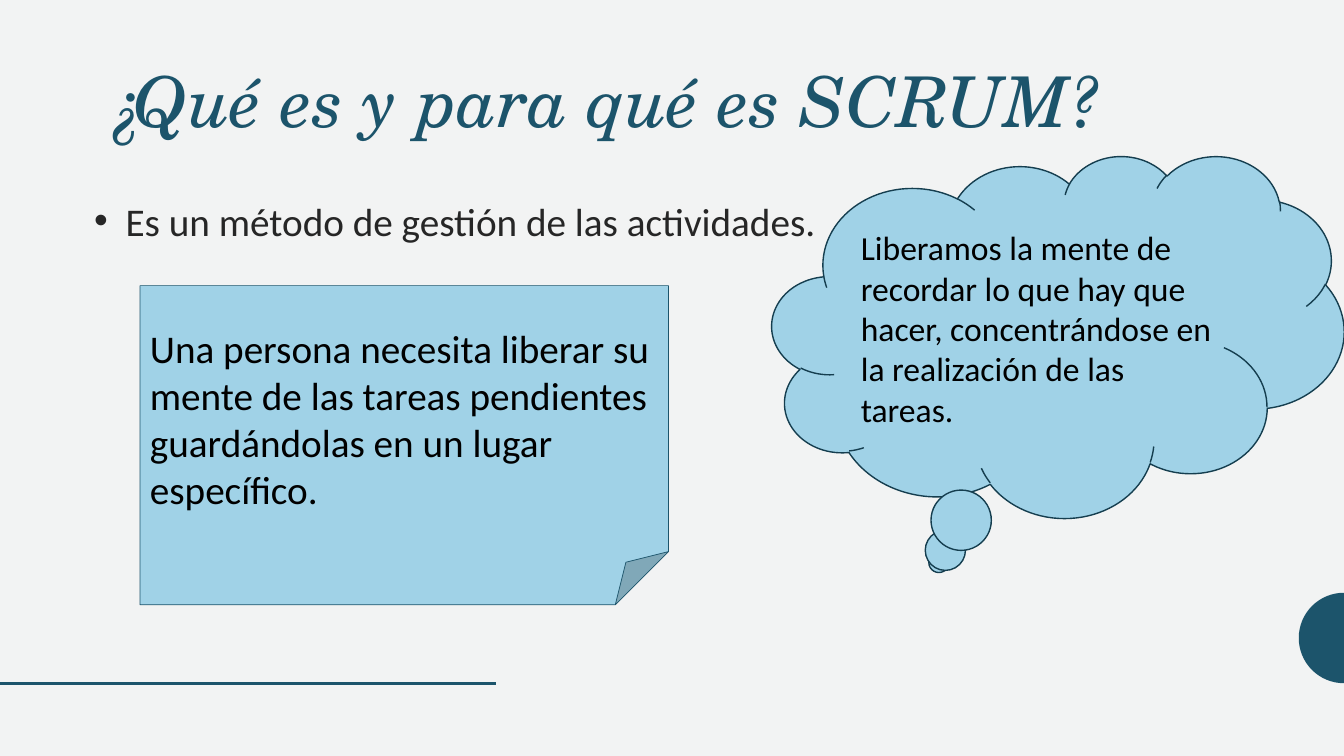
"""Builds the slide explaining what SCRUM is and what it is for."""
from math import cos, pi, sin

from lxml import etree
from pptx import Presentation
from pptx.dml.color import RGBColor
from pptx.enum.shapes import MSO_CONNECTOR, MSO_SHAPE
from pptx.enum.text import MSO_ANCHOR, PP_ALIGN
from pptx.oxml.ns import qn
from pptx.util import Pt

LEFT, RIGHT = PP_ALIGN.LEFT, PP_ALIGN.RIGHT
TOP, MIDDLE = MSO_ANCHOR.TOP, MSO_ANCHOR.MIDDLE
FOLDED_NOTE, CLOUD = MSO_SHAPE.FOLDED_CORNER, MSO_SHAPE.CLOUD_CALLOUT
STRAIGHT = MSO_CONNECTOR.STRAIGHT

PAPER = RGBColor(0xF2, 0xF3, 0xF3)
TEAL = RGBColor(0x1C, 0x54, 0x6B)
DARK_TEAL = RGBColor(0x15, 0x3E, 0x4F)
SKY = RGBColor(0xA0, 0xD2, 0xE7)
GRAPHITE = RGBColor(0x26, 0x26, 0x26)
BLACK = RGBColor(0, 0, 0)


def place(shape, left, top, width, height):
    """Move and size a shape, in points."""
    bounds = {"left": left, "top": top, "width": width, "height": height}
    for name, value in bounds.items():
        setattr(shape, name, Pt(value))


def write(shape, text, anchor, align, spacing, font):
    """Put one formatted paragraph in a shape and return it."""
    frame = shape.text_frame
    frame.word_wrap = True
    frame.vertical_anchor = anchor
    para = frame.paragraphs[0]
    layout = {"alignment": align, "line_spacing": spacing, "space_before": Pt(0)}
    for name, value in layout.items():
        setattr(para, name, value)
    span = para.add_run()
    span.text = text
    for name, value in font.items():
        if name == "color":
            span.font.color.rgb = value
        else:
            setattr(span.font, name, value)
    return para


deck = Presentation()
deck.slide_width, deck.slide_height = Pt(960), Pt(540)
page = deck.slides.add_slide(deck.slide_layouts[1])
page.background.fill.solid()
page.background.fill.fore_color.rgb = PAPER

radius, center_y, steps = 32.3, 455.7, 32
angles = [pi / 2 + pi * step / steps for step in range(steps + 1)]
arc = [(Pt(960 + radius * cos(angle)), Pt(center_y + radius * sin(angle))) for angle in angles]
builder = page.shapes.build_freeform(*arc[0])
builder.add_line_segments(arc[1:], close=True)
half_disc = builder.convert_to_shape()
half_disc.shadow.inherit = False
half_disc.fill.solid()
half_disc.fill.fore_color.rgb = TEAL
half_disc.line.fill.background()

rule = page.shapes.add_connector(STRAIGHT, Pt(0), Pt(488), Pt(354), Pt(488))
rule.line.color.rgb = TEAL
rule.line.width = Pt(2)
etree.SubElement(rule._element.spPr, qn("a:effectLst"))

title, body = page.placeholders
place(title, 60, 44, 734, 124)
write(title, "¿Qué es y para qué es SCRUM?", TOP, RIGHT, 0.9,
      {"name": "TeX Gyre Schola", "size": Pt(50), "italic": True, "color": TEAL})

place(body, 60, 133, 817, 71)
bullet = write(body, "Es un método de gestión de las actividades.", TOP, LEFT, 1.12,
               {"name": "Calibri", "size": Pt(28), "color": GRAPHITE})
indent = Pt(22.5)
bullet._p.get_or_add_pPr().set("marL", str(indent))
bullet._p.get_or_add_pPr().set("indent", str(-indent))

callouts = [
    (FOLDED_NOTE, (100, 204, 377.5, 228), TEAL, 0.5, 28,
     "Una persona necesita liberar su mente de las tareas pendientes "
     "guardándolas en un lugar específico."),
    (CLOUD, (551.5, 111, 408.5, 258.5), DARK_TEAL, 1, 24,
     "Liberamos la mente de recordar lo que hay que hacer, "
     "concentrándose en la realización de las tareas."),
]
for kind, bounds, outline, weight, size, text in callouts:
    box = page.shapes.add_shape(kind, *map(Pt, bounds))
    box.shadow.inherit = False
    box.fill.solid()
    box.fill.fore_color.rgb = SKY
    box.line.color.rgb = outline
    box.line.width = Pt(weight)
    write(box, text, MIDDLE, LEFT, 1.0,
          {"name": "Calibri", "size": Pt(size), "color": BLACK})

deck.save("out.pptx")
